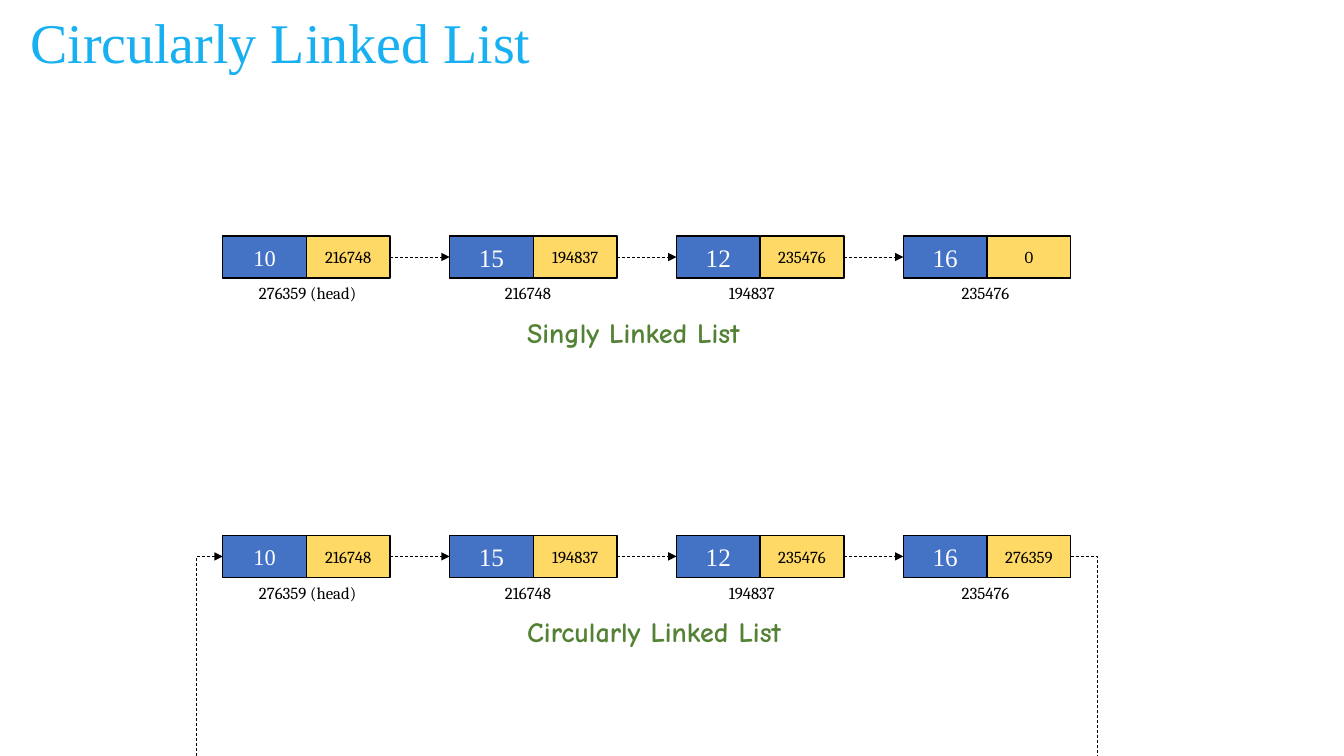
import pptx
import pptx.dml.color
import pptx.enum.dml
import pptx.enum.shapes
import pptx.enum.text
import pptx.util
from lxml import etree
from pptx.oxml.ns import qn

SLIDE_W, SLIDE_H = 13.33, 7.5
CELL_W, CELL_H, PITCH = 0.83, 0.42, 2.25
LOOP_MARGIN = 0.26
BLACK, WHITE, BLUE, GOLD = "000000", "FFFFFF", "4472C4", "FFD966"
TITLE = dict(name="Times New Roman", size=40, color="18B0F0")
POINTER = dict(name="Cambria", size=12, color=BLACK)
CAPTION = dict(name="Comic Neue", size=20, color="548235", bold=True)
NODES = [
    ("10", 16, "276359 (head)", 0.26, 1.29),
    ("15", 18, "216748", 0.45, 0.76),
    ("12", 18, "194837", 0.42, 0.76),
    ("16", 18, "235476", 0.48, 0.76),
]


def rgb(value):
    """Turn a hex string into a colour."""
    return pptx.dml.color.RGBColor.from_string(value)


def inches(*values):
    """Turn numbers of inches into lengths."""
    return [pptx.util.Inches(v) for v in values]


def write(tf, text, fmt, align=pptx.enum.text.PP_ALIGN.LEFT):
    """Put one formatted line into a text frame."""
    p = tf.paragraphs[0]
    p.alignment = align
    r = p.add_run()
    r.text = text
    for key, value in fmt.items():
        if key == "color":
            r.font.color.rgb = rgb(value)
        else:
            setattr(r.font, key, pptx.util.Pt(value) if key == "size" else value)


def add_title(s, text, box):
    """Place the title placeholder in its box."""
    sp = s.shapes.title
    sp.left, sp.top, sp.width, sp.height = inches(*box)
    tf = sp.text_frame
    tf.auto_size = pptx.enum.text.MSO_AUTO_SIZE.NONE
    tf.vertical_anchor = pptx.enum.text.MSO_ANCHOR.MIDDLE
    write(tf, text, TITLE)
    tf.paragraphs[0].line_spacing = 0.9


def add_label(s, text, box, fmt):
    """Add a one-line text box that does not wrap."""
    tf = s.shapes.add_textbox(*inches(*box)).text_frame
    tf.word_wrap = False
    tf.auto_size = pptx.enum.text.MSO_AUTO_SIZE.SHAPE_TO_FIT_TEXT
    write(tf, text, fmt)


def add_cell(group, text, left, top, fill, fmt):
    """Add one outlined cell of a node."""
    sp = group.shapes.add_shape(
        pptx.enum.shapes.MSO_SHAPE.RECTANGLE, *inches(left, top, CELL_W, CELL_H))
    sp.shadow.inherit = False
    sp.fill.solid()
    sp.fill.fore_color.rgb = rgb(fill)
    sp.line.color.rgb = rgb(BLACK)
    sp.line.width = pptx.util.Pt(1)
    sp.text_frame.vertical_anchor = pptx.enum.text.MSO_ANCHOR.MIDDLE
    write(sp.text_frame, text, fmt, pptx.enum.text.PP_ALIGN.CENTER)
    return sp


def add_node(s, value, size, pointer, left, top):
    """Group a value cell with its pointer cell."""
    group = s.shapes.add_group_shape()
    value_fmt = dict(name="Times New Roman", size=size, color=WHITE)
    return (add_cell(group, value, left, top, BLUE, value_fmt),
            add_cell(group, pointer, left + CELL_W, top, GOLD, POINTER))


def style_link(link, arrow=True):
    """Make a line thin, dashed and shadowless, with an optional arrowhead."""
    link.line.color.rgb = rgb(BLACK)
    link.line.width = pptx.util.Pt(0.5)
    link.line.dash_style = pptx.enum.dml.MSO_LINE.DASH
    if arrow:
        ln = link.line._get_or_add_ln()
        etree.SubElement(ln, qn("a:tailEnd"), type="triangle")
    sp_pr = link._element.spPr
    if sp_pr.find(qn("a:effectLst")) is None:
        etree.SubElement(sp_pr, qn("a:effectLst"))


def add_link(s, source, target):
    """Join a pointer cell to the next value cell."""
    link = s.shapes.add_connector(
        pptx.enum.shapes.MSO_CONNECTOR.STRAIGHT, 0, 0, 0, 0)
    link.begin_connect(source, 3)
    link.end_connect(target, 1)
    style_link(link)


def add_elbow(s, points, arrow):
    """Draw an open dashed path through the points."""
    start, *rest = [tuple(inches(*point)) for point in points]
    builder = s.shapes.build_freeform(*start)
    builder.add_line_segments(rest, close=False)
    sp = builder.convert_to_shape()
    sp.fill.background()
    sp.shadow.inherit = False
    style_link(sp, arrow)


def add_loop(s, left, right, middle):
    """Lead the last pointer down and back up to the head."""
    outer_left, outer_right = left - LOOP_MARGIN, right + LOOP_MARGIN
    add_elbow(s, [(right, middle), (outer_right, middle), (outer_right, SLIDE_H)], False)
    add_elbow(s, [(outer_left, SLIDE_H), (outer_left, middle), (left, middle)], True)


def add_list(s, left, top, caption, caption_w, last_pointer, circular):
    """Draw a linked list with its addresses and caption."""
    pointers = [address for _, _, address, _, _ in NODES[1:]] + [last_pointer]
    cells = []
    for i, ((value, size, address, inset, width), pointer) in enumerate(zip(NODES, pointers)):
        x = left + i * PITCH
        cells.append(add_node(s, value, size, pointer, x, top))
        add_label(s, address, (x + inset, top + CELL_H, width, 0.3), POINTER)
    for (_, source), (target, _) in zip(cells, cells[1:]):
        add_link(s, source, target)
    add_label(s, caption, (left + 2.92, top + 0.74, caption_w, 0.44), CAPTION)
    if circular:
        right = left + (len(NODES) - 1) * PITCH + 2 * CELL_W
        add_loop(s, left, right, top + CELL_H / 2)


def main():
    """Build the slide and save it."""
    prs = pptx.Presentation()
    prs.slide_width, prs.slide_height = inches(SLIDE_W, SLIDE_H)
    s = prs.slides.add_slide(prs.slide_layouts[5])
    add_title(s, "Circularly Linked List", (0.2, 0.13, 10.96, 0.65))
    add_list(s, 2.21, 2.34, "Singly Linked List", 2.57, "0", False)
    add_list(s, 2.21, 5.31, "Circularly Linked List", 2.91, "276359", True)
    prs.save("out.pptx")


if __name__ == "__main__":
    main()
